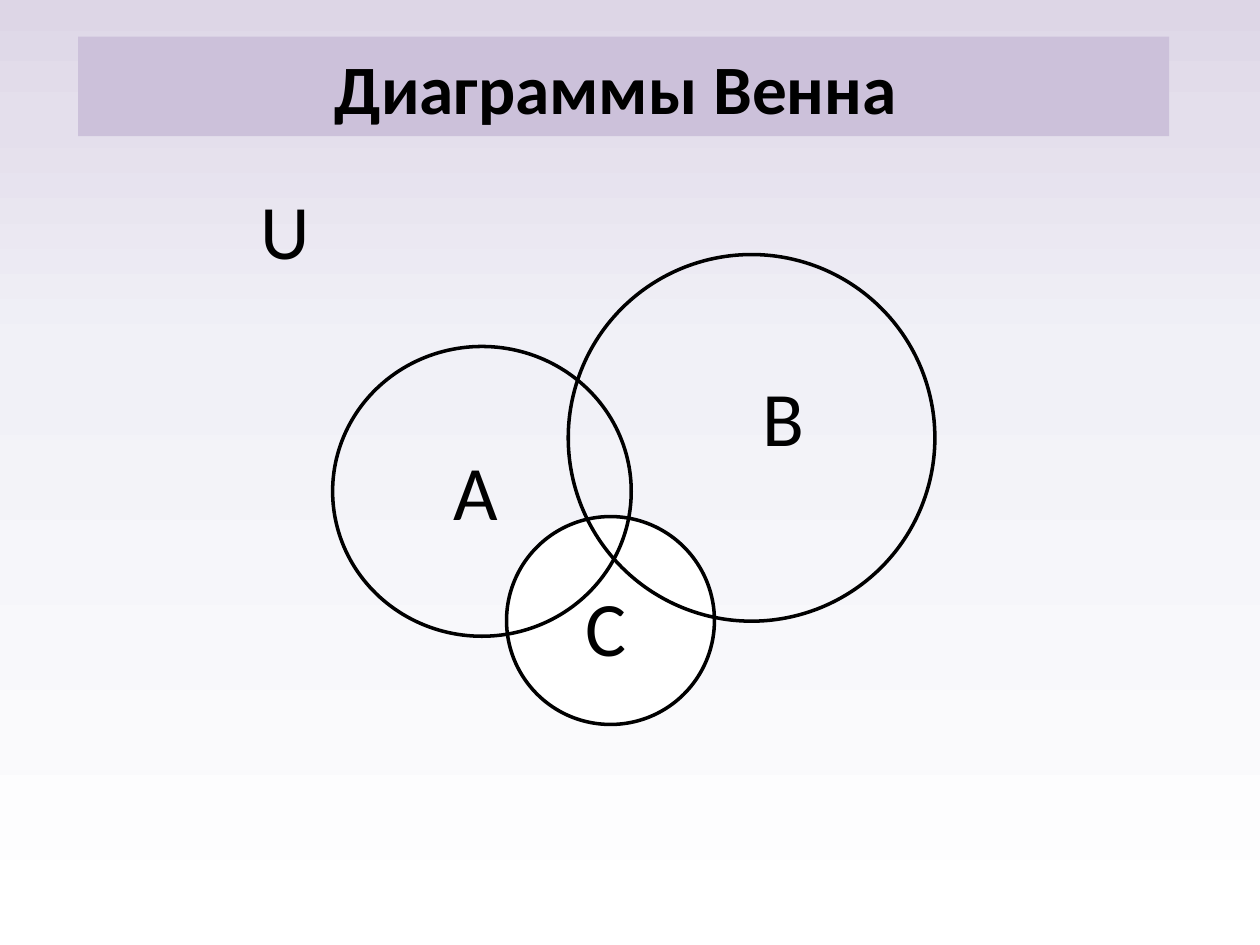
"""Build a slide with a Venn diagram of three sets in a universe."""
from copy import deepcopy
from dataclasses import dataclass

from pptx import Presentation
from pptx.dml.color import RGBColor as Color
from pptx.enum.shapes import MSO_SHAPE as Preset
from pptx.enum.text import MSO_ANCHOR as Anchor, MSO_AUTO_SIZE as AutoSize, PP_ALIGN as Align
from pptx.oxml.ns import qn
from pptx.util import Inches, Pt

COLUMNS, ROWS = 100, 75
CELL = Inches(10) / COLUMNS
LABEL_SIZE = (7.9, 8.4)


@dataclass(frozen=True)
class Theme:
    """Colours, font and sizes of the slide."""
    font: str = "Calibri"
    ink: str = "000000"
    banner: str = "CCC1DA"
    highlight: str = "FFFFFF"
    title_size: float = 39.6
    label_size: float = 44
    outline: float = 2
    backdrop: tuple = ((0, "FFFFFF"), (0.63, "F1F1F7"), (0.87, "E4DFEC"), (1, "DDD6E6"))


THEME = Theme()


def grid(*cells):
    """Turn grid cells into slide lengths."""
    return [round(cell * CELL) for cell in cells]


def paint_backdrop(slide):
    """Fill the background with a gradient that rises from the bottom."""
    fill = slide.background.fill
    fill.gradient()
    fill.gradient_angle = 90
    stop_list = slide.element.find(".//" + qn("a:gsLst"))
    while len(stop_list) < len(THEME.backdrop):
        stop_list.append(deepcopy(stop_list[0]))
    for stop, (position, color) in zip(fill.gradient_stops, THEME.backdrop):
        stop.position = position
        stop.color.rgb = Color.from_string(color)


def write(shape, text, size, bold=False, align=Align.LEFT):
    """Put one styled paragraph into a shape."""
    shape.text_frame.word_wrap = True
    paragraph = shape.text_frame.paragraphs[0]
    paragraph.text = text
    paragraph.alignment = align
    font = paragraph.font
    font.name, font.size, font.bold = THEME.font, Pt(size), bold
    font.color.rgb = Color.from_string(THEME.ink)


def add_preset(shapes, preset, cells, fill=None):
    """Add a shadowless preset shape, hollow unless a fill is given."""
    shape = shapes.add_shape(preset, *grid(*cells))
    shape.shadow.inherit = False
    if fill:
        shape.fill.solid()
        shape.fill.fore_color.rgb = Color.from_string(fill)
    else:
        shape.fill.background()
    return shape


def add_title(slide, text, cells):
    """Add the title on its banner."""
    banner = add_preset(slide.shapes, Preset.RECTANGLE, cells, THEME.banner)
    banner.line.fill.background()
    banner.text_frame.vertical_anchor = Anchor.MIDDLE
    write(banner, text, THEME.title_size, bold=True, align=Align.CENTER)


def add_set(shapes, cells, fill=None):
    """Add the outlined ellipse of one set."""
    ellipse = add_preset(shapes, Preset.OVAL, cells, fill)
    ellipse.line.color.rgb = Color.from_string(THEME.ink)
    ellipse.line.width = Pt(THEME.outline)


def add_label(shapes, text, column, row):
    """Add the letter of a set."""
    label = shapes.add_textbox(*grid(column, row, *LABEL_SIZE))
    write(label, text, THEME.label_size)
    label.text_frame.auto_size = AutoSize.SHAPE_TO_FIT_TEXT


def add_venn(slide):
    """Add the grouped diagram: sets C and B, the letters, then set A."""
    shapes = slide.shapes.add_group_shape().shapes
    add_set(shapes, (40.2, 41, 16.5, 16.5), THEME.highlight)
    add_set(shapes, (45.1, 20.2, 29.1, 29.1))
    for letter, column, row in (("U", 19.7, 14), ("B", 59.5, 28.8),
                                ("A", 35, 34.7), ("C", 45.5, 45.5)):
        add_label(shapes, letter, column, row)
    add_set(shapes, (26.4, 27.5, 23.7, 23))


def main():
    """Build and save the presentation."""
    presentation = Presentation()
    presentation.slide_width, presentation.slide_height = grid(COLUMNS, ROWS)
    slide = presentation.slides.add_slide(presentation.slide_layouts[6])
    paint_backdrop(slide)
    add_title(slide, "Диаграммы Венна ", (6.2, 2.9, 86.6, 7.9))
    add_venn(slide)
    presentation.save("out.pptx")


if __name__ == "__main__":
    main()
